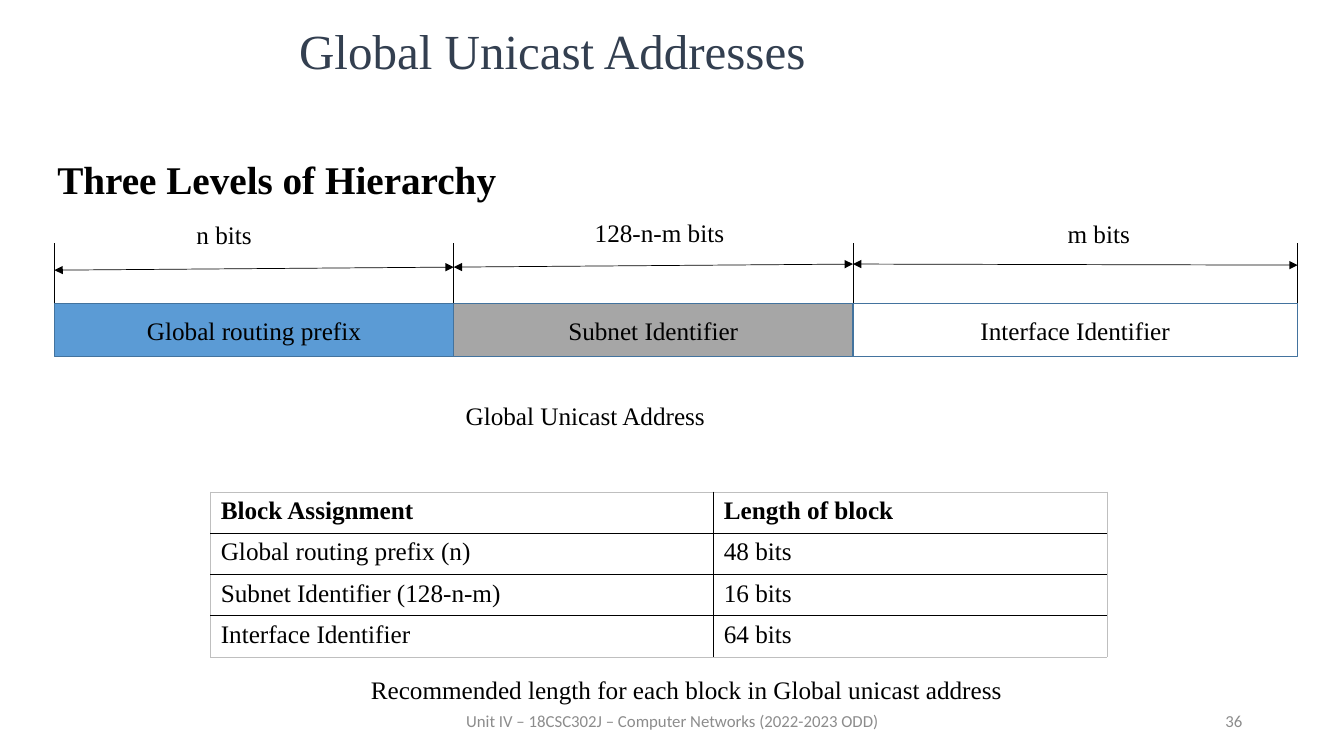
from dataclasses import dataclass

from lxml import etree
from pptx import Presentation
from pptx.dml.color import RGBColor
from pptx.enum.shapes import MSO_CONNECTOR, MSO_SHAPE
from pptx.enum.text import MSO_ANCHOR, PP_ALIGN
from pptx.oxml.ns import qn
from pptx.util import Pt

LEFT, CENTER, RIGHT, JUSTIFY = PP_ALIGN.LEFT, PP_ALIGN.CENTER, PP_ALIGN.RIGHT, PP_ALIGN.JUSTIFY
TOP, MIDDLE = MSO_ANCHOR.TOP, MSO_ANCHOR.MIDDLE
RECTANGLE, STRAIGHT = MSO_SHAPE.RECTANGLE, MSO_CONNECTOR.STRAIGHT
PX = 9144  # 100 px to the inch


@dataclass(frozen=True)
class Theme:
    serif: str = "Times New Roman"
    sans: str = "Calibri"
    black: str = "000000"
    title: str = "333F50"
    footer: str = "8C8C8C"
    prefix: str = "5B9BD5"
    subnet: str = "A6A6A6"
    interface: str = "FFFFFF"
    outline: str = "43739E"
    frame: str = "BFBFBF"
    title_size: int = 35
    heading_size: int = 28
    body_size: int = 18
    footer_size: int = 12


theme = Theme()


def write(frame, text, size=theme.body_size, color=theme.black, font=theme.serif,
          bold=False, align=LEFT, anchor=TOP, wrap=True):
    """Fill a text frame with one styled run and return its paragraph."""
    frame.word_wrap = wrap
    frame.vertical_anchor = anchor
    paragraph = frame.paragraphs[0]
    paragraph.alignment = align
    run = paragraph.add_run()
    run.text = text
    run.font.name = font
    run.font.size = Pt(size)
    run.font.bold = bold
    run.font.color.rgb = RGBColor.from_string(color)
    return paragraph


def add_line(start, end, arrows=False):
    line = slide.shapes.add_connector(STRAIGHT, *(value * PX for value in start + end))
    line.line.color.rgb = RGBColor.from_string(theme.black)
    line.line.width = Pt(0.5)
    if arrows:
        outline = line.line._get_or_add_ln()
        for name in ("a:headEnd", "a:tailEnd"):
            etree.SubElement(outline, qn(name), type="triangle")
    etree.SubElement(line._element.spPr, qn("a:effectLst"))


presentation = Presentation()
presentation.slide_width = 1333 * PX
presentation.slide_height = 750 * PX
slide = presentation.slides.add_slide(presentation.slide_layouts[6])

# Title, heading, captions and footer
footer = dict(size=theme.footer_size, color=theme.footer, font=theme.sans, anchor=MIDDLE)
texts = [
    ("Three Levels of Hierarchy", (47, 126, 1240, 579),
     dict(size=theme.heading_size, bold=True, align=JUSTIFY)),
    ("n bits", (185, 213, 135, 40), {}),
    ("128-n-m bits", (580, 211, 211, 40), {}),
    ("m bits", (1049, 212, 135, 40), {}),
    ("Global Unicast Address", (452, 392, 260, 40), dict(wrap=False)),
    ("Recommended length for each block in Global unicast address",
     (358, 664, 657, 40), dict(wrap=False)),
    ("Global Unicast Addresses", (0, 15, 1096, 60),
     dict(size=theme.title_size, color=theme.title, align=CENTER)),
    ("Unit IV – 18CSC302J – Computer Networks (2022-2023 ODD)",
     (442, 695, 450, 40), dict(align=CENTER, **footer)),
    ("36", (942, 695, 300, 40), dict(align=RIGHT, **footer)),
]
for text, box, style in texts:
    textbox = slide.shapes.add_textbox(*(value * PX for value in box))
    paragraph = write(textbox.text_frame, text, **style)
    if style.get("bold"):
        paragraph.line_spacing = 1.5

# Address blocks with their measuring lines
block_top, block_height, tick_top = 301, 53, 241
edges = [54, 450, 846, 1287]
arrow_heights = [268, 265, 262, 263]
blocks = [
    ("Global routing prefix", theme.prefix),
    ("Subnet Identifier", theme.subnet),
    ("Interface Identifier", theme.interface),
]
for (label, fill), left, right in zip(blocks, edges, edges[1:]):
    block = slide.shapes.add_shape(
        RECTANGLE, left * PX, block_top * PX, (right - left) * PX, block_height * PX)
    block.shadow.inherit = False
    block.fill.solid()
    block.fill.fore_color.rgb = RGBColor.from_string(fill)
    block.line.color.rgb = RGBColor.from_string(theme.outline)
    block.line.width = Pt(1)
    write(block.text_frame, label, align=CENTER, anchor=MIDDLE)

for edge in edges:
    add_line((edge, block_top), (edge, tick_top))
arrow_points = list(zip(edges, arrow_heights))
for start, end in zip(arrow_points, arrow_points[1:]):
    add_line(start, end, arrows=True)

# Table of block lengths
rows = [
    ("Block Assignment", "Length of block"),
    ("Global routing prefix (n)", "48 bits"),
    ("Subnet Identifier (128-n-m)", "16 bits"),
    ("Interface Identifier", "64 bits"),
]
column_widths, row_height = (499, 390), 41
table = slide.shapes.add_table(
    len(rows), len(column_widths), 209 * PX, 488 * PX,
    sum(column_widths) * PX, len(rows) * row_height * PX).table
table.horz_banding = False
for column, width in zip(table.columns, column_widths):
    column.width = width * PX
for row_index, row in enumerate(rows):
    for column_index, text in enumerate(row):
        cell = table.cell(row_index, column_index)
        write(cell.text_frame, text, bold=row_index == 0)
        properties = cell._tc.get_or_add_tcPr()
        outer_sides = {
            "a:lnL": column_index == 0,
            "a:lnR": column_index == len(row) - 1,
            "a:lnT": row_index == 0,
            "a:lnB": row_index == len(rows) - 1,
        }
        for side, is_outer in outer_sides.items():
            border = etree.SubElement(properties, qn(side), w=str(Pt(0.5 if is_outer else 1)))
            border_fill = etree.SubElement(border, qn("a:solidFill"))
            etree.SubElement(border_fill, qn("a:srgbClr"),
                             val=theme.frame if is_outer else theme.black)
        cell.fill.background()

presentation.save("out.pptx")
